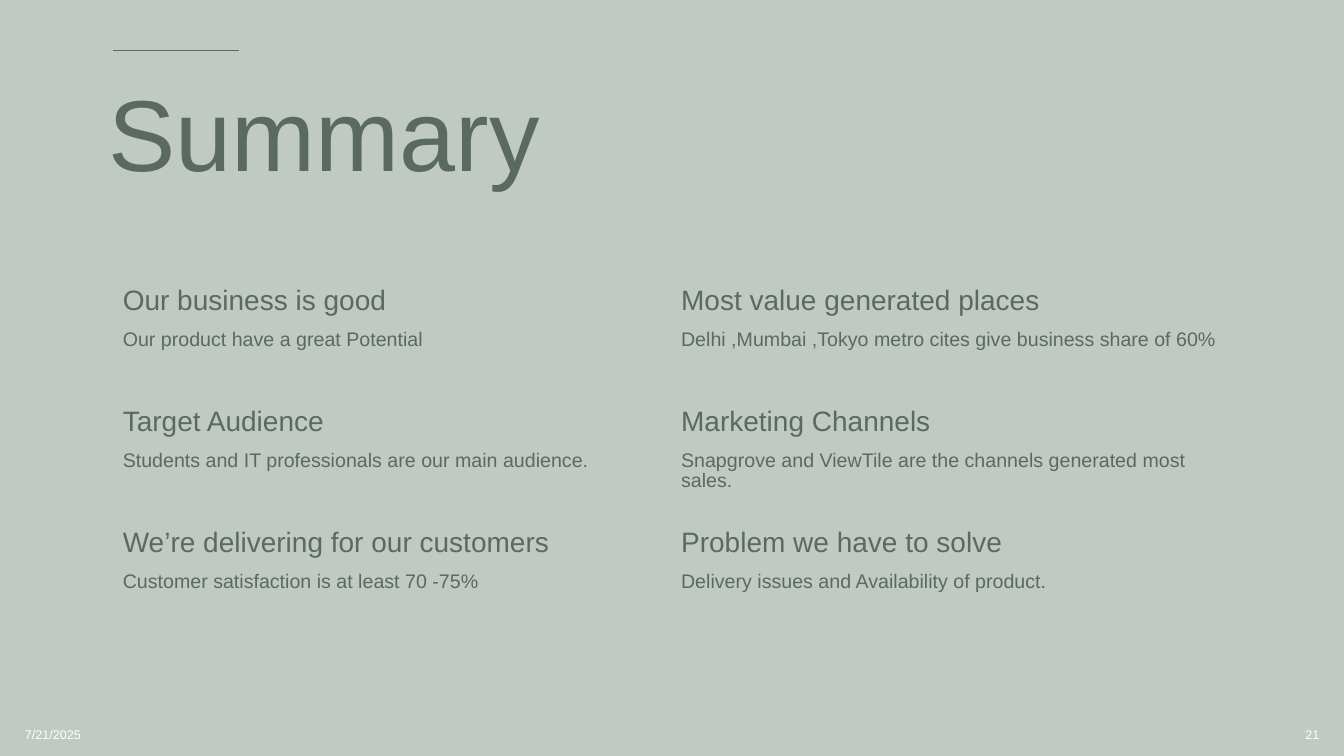
"""Build the business summary slide."""
from dataclasses import dataclass

from lxml import etree
from pptx import Presentation
from pptx.dml.color import RGBColor
from pptx.enum.shapes import MSO_CONNECTOR
from pptx.enum.text import MSO_ANCHOR, PP_ALIGN
from pptx.oxml.ns import qn
from pptx.slide import Slide
from pptx.text.text import TextFrame
from pptx.util import Cm, Pt

STRAIGHT = MSO_CONNECTOR.STRAIGHT
MIDDLE = MSO_ANCHOR.MIDDLE
LEFT, RIGHT = PP_ALIGN.LEFT, PP_ALIGN.RIGHT
NO_STYLE_NO_GRID = "{2D5ABB26-0587-4C30-8999-92F81FD0307C}"


@dataclass(frozen=True)
class Theme:
    font: str = "Arial"
    background: RGBColor = RGBColor(0xC0, 0xC9, 0xC2)
    ink: RGBColor = RGBColor(0x5B, 0x6A, 0x5E)
    footer_ink: RGBColor = RGBColor(0xFF, 0xFF, 0xFF)
    title: float = 72
    heading: float = 20
    body: float = 14
    footer: float = 9


@dataclass(frozen=True)
class Label:
    text: str
    left: float
    top: float
    width: float
    height: float
    size: float
    color: RGBColor
    align: PP_ALIGN = LEFT
    spacing: float = 1.0


@dataclass(frozen=True)
class Point:
    heading: str
    detail: str


THEME = Theme()
LABELS = [
    Label("Summary", 2.49, 1.6, 28.22, 3.81, THEME.title, THEME.ink, spacing=0.9),
    Label("7/21/2025", 0.38, 18.01, 7.62, 1.02, THEME.footer, THEME.footer_ink),
    Label("21", 25.88, 18.01, 7.62, 1.02, THEME.footer, THEME.footer_ink, RIGHT),
]
POINTS = [
    [Point("Our business is good", "Our product have a great Potential"),
     Point("Most value generated places",
           "Delhi ,Mumbai ,Tokyo metro cites give business share of 60%")],
    [Point("Target Audience", "Students and IT professionals are our main audience."),
     Point("Marketing Channels",
           "Snapgrove and ViewTile are the channels generated most sales.")],
    [Point("We’re delivering for our customers",
           "Customer satisfaction is at least 70 -75%"),
     Point("Problem we have to solve", "Delivery issues and Availability of product.")],
]


def write(tf: TextFrame, text: str, *, size: float, color: RGBColor = THEME.ink,
          align: PP_ALIGN = LEFT, spacing: float = 0.9, before: float = 0,
          new: bool = False) -> None:
    """Write one formatted paragraph, the first or an added one."""
    p = tf.add_paragraph() if new else tf.paragraphs[0]
    p.alignment = align
    p.line_spacing = spacing
    p.space_before = Pt(before)
    r = p.add_run()
    r.text = text
    r.font.name = THEME.font
    r.font.size = Pt(size)
    r.font.color.rgb = color


def add_label(s: Slide, label: Label) -> None:
    """Add a vertically centred text box."""
    sp = s.shapes.add_textbox(Cm(label.left), Cm(label.top),
                              Cm(label.width), Cm(label.height))
    tf = sp.text_frame
    tf.word_wrap = True
    tf.vertical_anchor = MIDDLE
    write(tf, label.text, size=label.size, color=label.color,
          align=label.align, spacing=label.spacing)


def add_accent_line(s: Slide) -> None:
    """Add the short line above the title."""
    line = s.shapes.add_connector(STRAIGHT, Cm(2.84), Cm(1.27), Cm(6.02), Cm(1.27))
    line.line.color.rgb = THEME.ink
    line.line.width = Pt(1.25)
    etree.SubElement(line._element.spPr, qn("a:effectLst"))


def add_points(s: Slide, points: list[list[Point]]) -> None:
    """Add the plain table of headings and details."""
    rows, cols = len(points), len(points[0])
    table = s.shapes.add_table(rows, cols, Cm(2.84), Cm(7.14),
                               Cm(14.07 * cols), Cm(3.05 * rows)).table
    table.first_row = table.horz_banding = False
    table._tbl.tblPr.find(qn("a:tableStyleId")).text = NO_STYLE_NO_GRID
    for i, row in enumerate(points):
        for j, point in enumerate(row):
            cell = table.cell(i, j)
            cell.fill.background()
            tf = cell.text_frame
            write(tf, point.heading, size=THEME.heading, before=10)
            write(tf, point.detail, size=THEME.body, before=10, new=True)


def main() -> None:
    """Create and save the presentation."""
    prs = Presentation()
    prs.slide_width, prs.slide_height = Cm(33.87), Cm(19.05)
    s = prs.slides.add_slide(prs.slide_layouts[6])
    s.background.fill.solid()
    s.background.fill.fore_color.rgb = THEME.background
    add_accent_line(s)
    add_points(s, POINTS)
    for label in LABELS:
        add_label(s, label)
    prs.save("out.pptx")


if __name__ == "__main__":
    main()
